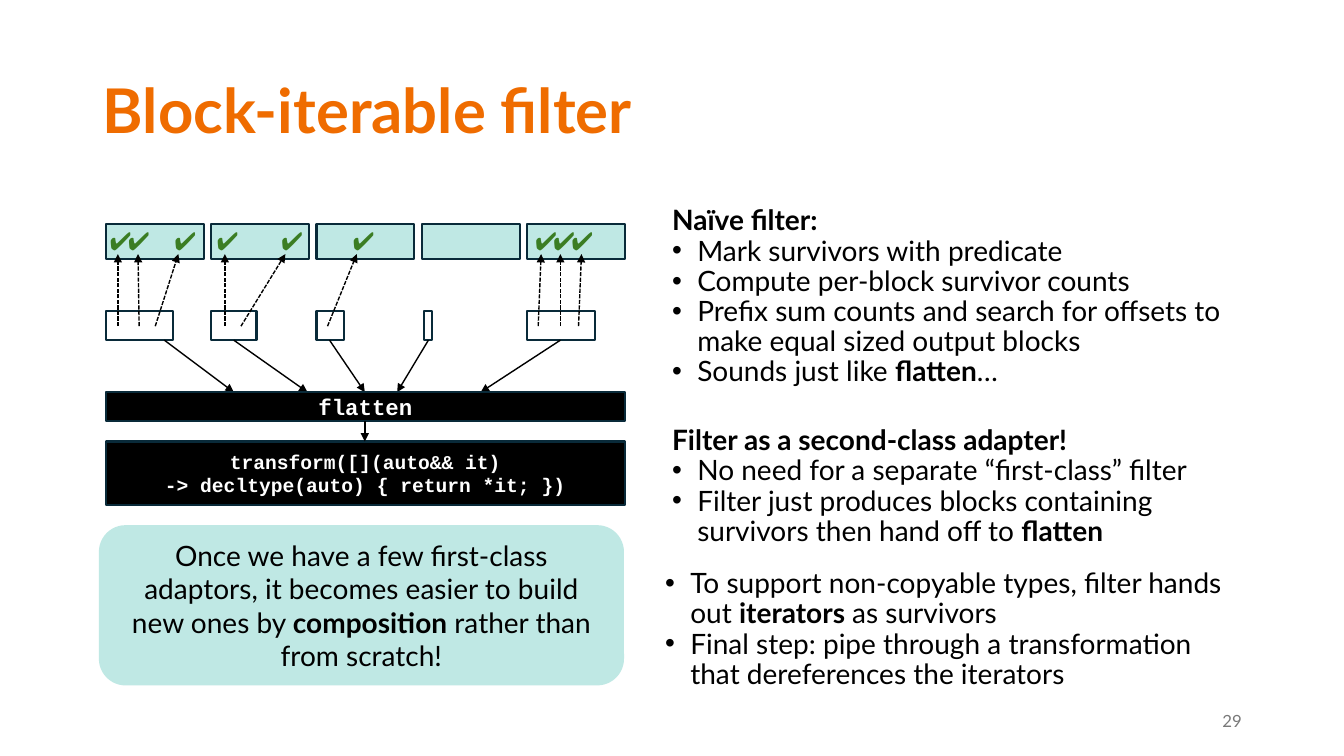
import pptx
import pptx.dml.color
import pptx.enum.dml
import pptx.enum.shapes
import pptx.enum.text
import pptx.oxml
import pptx.oxml.ns
import pptx.util

Pt = pptx.util.Pt
Align = pptx.enum.text.PP_ALIGN
Anchor = pptx.enum.text.MSO_ANCHOR
Preset = pptx.enum.shapes.MSO_SHAPE
COLORS = {"orange": "EF6C00", "teal": "BFE8E4", "navy": "092A39", "green": "3B7D23",
          "black": "000000", "white": "FFFFFF", "grey": "797979"}


def rgb(name):
    return pptx.dml.color.RGBColor.from_string(COLORS[name])


def add_xml(parent, tag, **attributes):
    element = pptx.oxml.parse_xml(f"<{tag} {pptx.oxml.ns.nsdecls('a')}/>")
    for key, value in attributes.items():
        element.set(key, value)
    parent.append(element)


class SlideBuilder:
    def __init__(self, deck):
        self.font, self.code_font = "Lato", "Courier New"
        self.slide = deck.slides.add_slide(deck.slide_layouts[5])

    def set_lines(self, frame, lines, size, color="black", bold=False, font=None,
                  align=Align.LEFT, anchor=Anchor.TOP, spacing=None):
        """Fill a frame; "• " starts a bullet and ** switches bold."""
        frame.word_wrap = True
        frame.vertical_anchor = anchor
        for index, line in enumerate(lines):
            paragraph = frame.add_paragraph() if index else frame.paragraphs[0]
            paragraph.alignment = align
            paragraph.line_spacing = spacing
            if line.startswith("• "):
                line = line[2:]
                properties = paragraph._p.get_or_add_pPr()
                properties.set("marL", str(Pt(18)))
                properties.set("indent", str(Pt(-18)))
                add_xml(properties, "a:buFont", typeface="Arial")
                add_xml(properties, "a:buChar", char="•")
            pieces = line.split("**")
            paragraph.text = pieces[0]
            for number, piece in enumerate(pieces[1:], 1):
                if piece:
                    run = paragraph.add_run()
                    run.text = piece
                    run.font.bold = number % 2 == 1
            for run in paragraph.runs:
                run.font.name = font or self.font
                run.font.size = Pt(size)
                run.font.bold = bold or bool(run.font.bold)
                run.font.color.rgb = rgb(color)

    def title(self, text, left, top, width, height):
        title = self.slide.shapes.title
        title.left, title.top, title.width, title.height = map(Pt, (left, top, width, height))
        self.set_lines(title.text_frame, [text], 44, "orange", True,
                       anchor=Anchor.MIDDLE, spacing=0.9)

    def text(self, lines, left, top, width, height, size=20, **style):
        box = self.slide.shapes.add_textbox(*map(Pt, (left, top, width, height)))
        self.set_lines(box.text_frame, lines, size, **style)

    def box(self, left, top, width, height, fill, line="navy", preset=Preset.RECTANGLE):
        shape = self.slide.shapes.add_shape(preset, *map(Pt, (left, top, width, height)))
        shape.shadow.inherit = False
        shape.fill.solid()
        shape.fill.fore_color.rgb = rgb(fill)
        if line:
            shape.line.color.rgb = rgb(line)
            shape.line.width = Pt(1.5)
        else:
            shape.line.fill.background()
        return shape.text_frame

    def code(self, text, top, height, size):
        frame = self.box(DIAGRAM_LEFT, top, DIAGRAM_WIDTH, height, "black")
        self.set_lines(frame, [text], size, "white", True, self.code_font,
                       Align.CENTER, Anchor.MIDDLE)

    def arrow(self, x1, y1, x2, y2, dashed=False):
        arrow = self.slide.shapes.add_connector(
            pptx.enum.shapes.MSO_CONNECTOR.STRAIGHT, *map(Pt, (x1, y1, x2, y2)))
        arrow.line.color.rgb = rgb("black")
        arrow.line.width = Pt(1)
        if dashed:
            arrow.line.dash_style = pptx.enum.dml.MSO_LINE.SQUARE_DOT
        add_xml(arrow.line._get_or_add_ln(), "a:tailEnd", type="triangle")
        add_xml(arrow._element.spPr, "a:effectLst")


DIAGRAM_LEFT, DIAGRAM_WIDTH = 75.6, 370.8
BLOCK_PITCH, BLOCK_WIDTH = 75.24, 69.9
FLATTEN_TOP, FLATTEN_HEIGHT, TRANSFORM_TOP = 280.1, 20.9, 315.4
SURVIVOR_TOP, SURVIVOR_HEIGHT = 222, 21

# Per block: survivor box (offset, width), flatten arrow (from x, to x),
# and for each survivor (tick offset, arrow start offset, arrow end offset)
BLOCKS = [
    ((0, 48.2), (117.4, 167), [(-4.3, 8.6, 8.6), (8.6, 23.8, 23), (41.8, 35.3, 51.8)]),
    ((0, 32.4), (167, 219.6), [(-3.2, 9.8, 9.8), (42.9, 21.3, 53)]),
    ((0, 19.4), (235.4, 260.6), [(18.7, 7.9, 28.8)]),
    ((1.7, 5.8), (306, 283.7), []),
    ((0, 48.2), (400.3, 343.4), [(-1.4, 7.9, 10), (11.5, 23.7, 23.7), (24.4, 36.7, 38.8)]),
]


def main():
    deck = pptx.Presentation()
    deck.slide_width, deck.slide_height = Pt(960), Pt(540)
    page = SlideBuilder(deck)
    page.title("Block-iterable filter", 66.2, 28.8, 828, 104.4)

    # Input blocks, their survivors and the arrows between them
    for index, ((offset, width), (from_x, to_x), survivors) in enumerate(BLOCKS):
        left = DIAGRAM_LEFT + index * BLOCK_PITCH
        page.box(left, 159.8, BLOCK_WIDTH, 25.3, "teal")
        page.box(left + offset, SURVIVOR_TOP, width, SURVIVOR_HEIGHT, "white")
        for tick, start, end in survivors:
            page.text(["✔"], left + tick, 157.7, 26, 28.8, 18, color="green", bold=True)
            page.arrow(left + start, 233, left + end, 181.5, dashed=True)
        page.arrow(from_x, SURVIVOR_TOP + SURVIVOR_HEIGHT, to_x, FLATTEN_TOP)

    # Flatten and transform stages
    page.code("flatten", FLATTEN_TOP, FLATTEN_HEIGHT, 16)
    page.code("transform([](auto&& it)\v-> decltype(auto) { return *it; })", TRANSFORM_TOP, 45.4, 14)
    page.arrow(260.6, FLATTEN_TOP + FLATTEN_HEIGHT, 260.6, TRANSFORM_TOP)

    # Takeaway
    takeaway = page.box(70.6, 375.1, 375.1, 114.5, "teal", None, Preset.ROUNDED_RECTANGLE)
    takeaway.margin_top = takeaway.margin_bottom = Pt(7.2)
    page.set_lines(takeaway, ["Once we have a few first-class adaptors, it becomes easier to build "
                              "new ones by **composition** rather than from scratch!"],
                   20, align=Align.CENTER, anchor=Anchor.MIDDLE)

    # Explanations
    page.text(["**Naïve filter:**",
               "• Mark survivors with predicate",
               "• Compute per-block survivor counts",
               "• Prefix sum counts and search for offsets to make equal sized output blocks",
               "• Sounds just like **flatten**…"], 473, 144, 432, 146, spacing=0.9)
    page.text(["**Filter as a second-class adapter!**",
               "• No need for a separate “first-class” filter",
               "• Filter just produces blocks containing survivors then hand off to **flatten**"],
              473, 301, 421.2, 104.4, spacing=0.9)
    page.text(["• To support non-copyable types, filter hands out **iterators** as survivors",
               "• Final step: pipe through a transformation that dereferences the iterators"],
              468, 403.2, 421.2, 97.2, spacing=0.9)

    # Slide number
    page.text(["29"], 678.2, 500.4, 216, 28.8, 12, color="grey",
              align=Align.RIGHT, anchor=Anchor.MIDDLE)
    deck.save("out.pptx")


if __name__ == "__main__":
    main()
